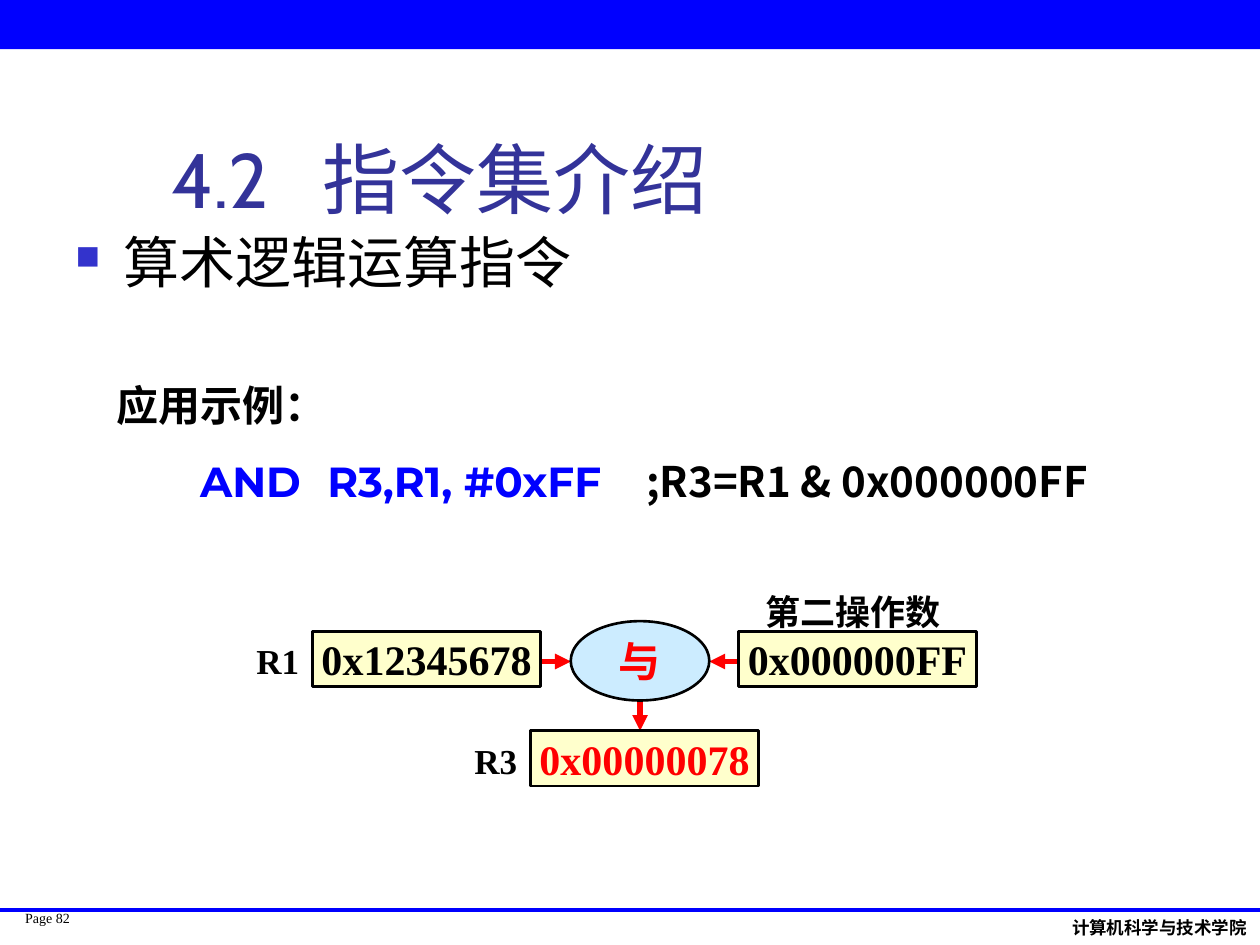
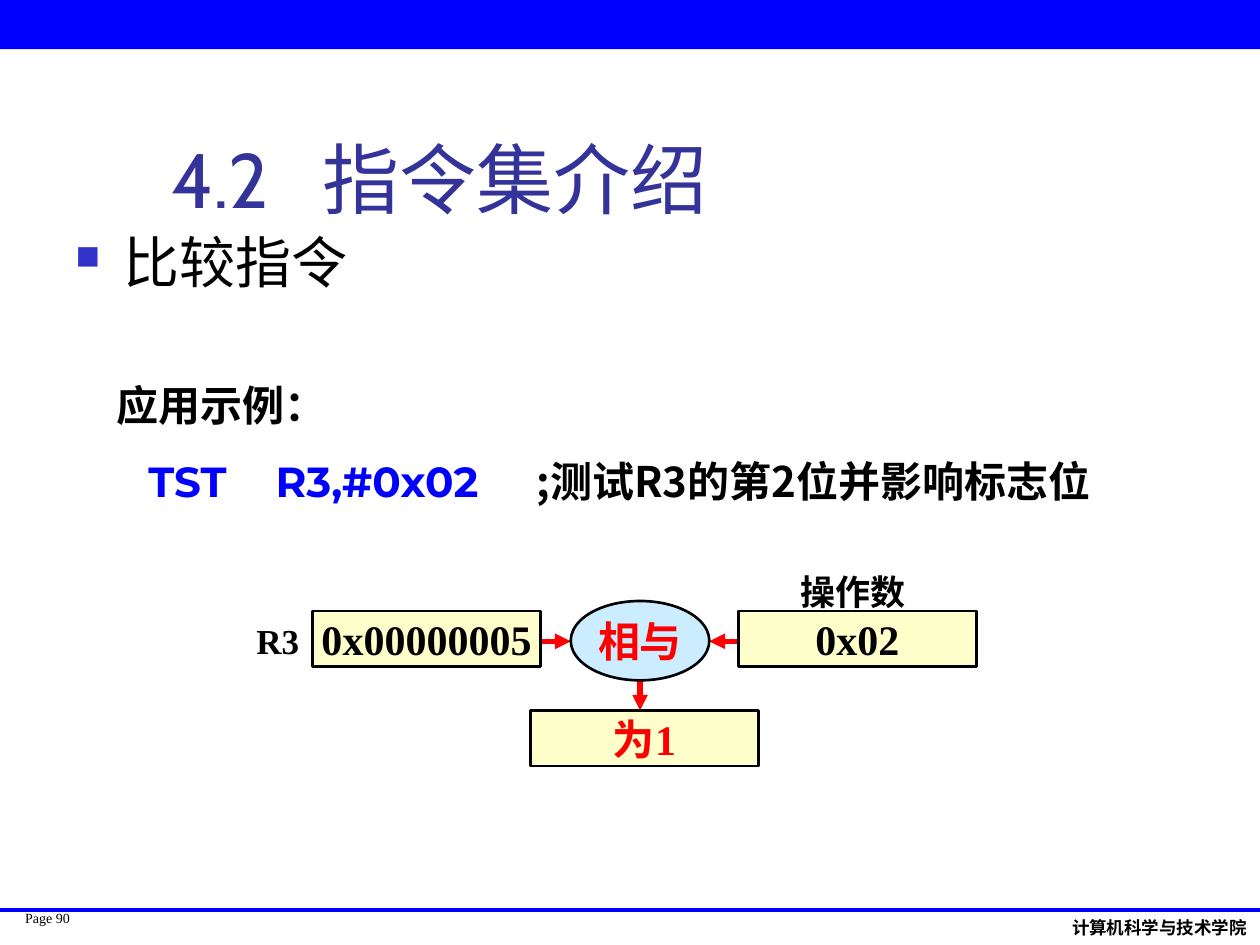
from lxml import etree
from pptx import Presentation
from pptx.dml.color import RGBColor
from pptx.enum.shapes import MSO_CONNECTOR, MSO_SHAPE
from pptx.enum.text import MSO_ANCHOR, PP_ALIGN
from pptx.oxml.ns import qn
from pptx.util import Pt

PX = 9144
WIDE, HIGH = 1000, 750
BLUE = RGBColor(0x00, 0x00, 0xFF)
NAVY = RGBColor(0x33, 0x33, 0x99)
MARK = RGBColor(0x33, 0x33, 0xCC)
BLACK = RGBColor(0x00, 0x00, 0x00)
RED = RGBColor(0xFF, 0x00, 0x00)
CREAM = RGBColor(0xFF, 0xFF, 0xCC)
SKY = RGBColor(0xCC, 0xEC, 0xFF)
HEAD, CODE, NOTE, SERIF = "Cabin", "Montserrat", "Noto Sans CJK JP", "Times New Roman"
RECT, OVAL = MSO_SHAPE.RECTANGLE, MSO_SHAPE.OVAL
LINE = MSO_CONNECTOR.STRAIGHT
LEFT, MID = PP_ALIGN.LEFT, PP_ALIGN.CENTER
TOP, CENTER, BASE = MSO_ANCHOR.TOP, MSO_ANCHOR.MIDDLE, MSO_ANCHOR.BOTTOM


def add(node, tag, **attrs):
    """Append a drawing element and return it."""
    return etree.SubElement(node, qn("a:" + tag), attrs)


class Deck:
    """Shared style and the slide being built."""

    def __init__(self):
        """Open an empty deck."""
        self.file = Presentation()
        self.file.slide_width = WIDE * PX
        self.file.slide_height = HIGH * PX
        self.slide = None

    def start(self, page, topic):
        """Begin a slide with its band, footer, title and topic."""
        self.slide = self.file.slides.add_slide(self.file.slide_layouts[6])
        self.label(f"Page {page}", (20, 722, 51, 27), 8, inset=0)
        self.label("计算机科学与技术学院", (841, 723, 159, 27), 10, HEAD, bold=True)
        self.shape(RECT, (0, 0, WIDE, 39), BLUE).line.fill.background()
        self.line((0, 722), (WIDE, 722), BLUE, 2.25)
        self.label("4.2\t指令集介绍", (126, 23, 852, 160), 44, HEAD, NAVY,
                   anchor=BASE, stops=[120])
        self.label(topic, (50, 176, 900, 83), 32, HEAD, bullet=True)

    def style(self, para, size, font=SERIF, color=BLACK, bold=False, align=LEFT):
        """Set the type of a paragraph."""
        para.alignment = align
        para.font.size, para.font.bold = Pt(size), bold
        para.font.name = font
        para.font.color.rgb = color

    def tabs(self, para, stops):
        """Give a paragraph its tab stops."""
        tabs = add(para._p.get_or_add_pPr(), "tabLst")
        for stop in stops:
            add(tabs, "tab", pos=str(stop * PX), algn="l")

    def bullet(self, para):
        """Give a paragraph a square bullet."""
        props = para._p.get_or_add_pPr()
        props.set("marL", str(38 * PX))
        props.set("indent", str(-38 * PX))
        add(add(props, "buClr"), "srgbClr", val=str(MARK))
        add(props, "buSzPct", val="60000")
        add(props, "buChar", char="■")

    def frame(self, area, anchor=TOP, wrap=True, inset=10):
        """Add a text box and return its frame."""
        frame = self.slide.shapes.add_textbox(*[n * PX for n in area]).text_frame
        frame.word_wrap, frame.vertical_anchor = wrap, anchor
        frame.margin_left = frame.margin_right = inset * PX
        frame.margin_top = frame.margin_bottom = inset // 2 * PX
        return frame

    def label(self, text, area, size, font=SERIF, color=BLACK, bold=False,
              align=LEFT, anchor=TOP, wrap=True, inset=10, stops=(), bullet=False):
        """Add one paragraph of text."""
        para = self.frame(area, anchor, wrap, inset).paragraphs[0]
        para.text = text
        if bullet:
            self.bullet(para)
        if stops:
            self.tabs(para, stops)
        self.style(para, size, font, color, bold, align)

    def tag(self, text, area):
        """Add a centred bold caption."""
        self.label(text, area, 20, bold=True, align=MID, anchor=CENTER, wrap=False)

    def shape(self, kind, area, fill):
        """Add a flat filled shape."""
        shape = self.slide.shapes.add_shape(kind, *[n * PX for n in area])
        shape.shadow.inherit = False
        shape.fill.solid()
        shape.fill.fore_color.rgb = fill
        return shape

    def node(self, text, area, color=BLACK, kind=RECT, fill=CREAM):
        """Add an outlined shape holding a value."""
        shape = self.shape(kind, area, fill)
        shape.line.color.rgb = BLACK
        shape.line.width = Pt(1.5)
        frame = shape.text_frame
        frame.word_wrap, frame.vertical_anchor = False, CENTER
        para = frame.paragraphs[0]
        para.text = text
        self.style(para, 24, color=color, bold=True, align=MID)

    def line(self, start, end, color, width):
        """Add a straight line."""
        line = self.slide.shapes.add_connector(LINE, *[n * PX for n in start + end])
        line.line.color.rgb = color
        line.line.width = Pt(width)
        add(line._element.spPr, "effectLst")
        return line

    def arrow(self, start, end):
        """Add a red arrow."""
        line = self.line(start, end, RED, 3)
        add(line.line._get_or_add_ln(), "tailEnd", type="triangle")

    def sample(self, code, note, stops):
        """Add the code example with its remark."""
        frame = self.frame((83, 296, 858, 111))
        intro, body = frame.paragraphs[0], frame.add_paragraph()
        intro.text = "应用示例："
        self.style(intro, 24, CODE, bold=True)
        body.space_before = Pt(15)
        self.tabs(body, stops)
        self.style(body, 24, CODE, bold=True)
        for text, font, color in ((f"\t{code}\t", CODE, BLUE), (note, NOTE, BLACK)):
            run = body.add_run()
            run.text = text
            run.font.name = font
            run.font.color.rgb = color

    def flow(self, top, source, value, verb, title, operand, result, target=None):
        """Draw two operands meeting in an operation and its result."""
        mid, low = top + 24, top + 79
        self.arrow((429, mid), (453, mid))
        self.arrow((587, mid), (563, mid))
        self.arrow((508, top + 55), (508, low))
        self.node(value, (248, top, 181, 44))
        self.node(operand, (586, top, 189, 44))
        self.node(verb, (453, top - 8, 110, 63), RED, OVAL, SKY)
        self.tag(source, (185, top, 71, 47))
        self.tag(title, (592, top - 39, 170, 47))
        if target:
            self.tag(target, (358, low, 71, 47))
        self.node(result, (421, low, 181, 44), RED)


def main():
    """Build both slides."""
    deck = Deck()
    deck.start(82, "算术逻辑运算指令")
    deck.sample("AND\tR3,R1, #0xFF", ";R3=R1 & 0x000000FF", [66, 167, 420])
    deck.flow(501, "R1", "0x12345678", "与", "第二操作数", "0x000000FF",
              "0x00000078", "R3")
    deck.start(90, "比较指令")
    deck.sample("TST\tR3,#0x02", ";测试R3的第2位并影响标志位", [25, 126, 333])
    deck.flow(485, "R3", "0x00000005", "相与", "操作数", "0x02", "为1")
    deck.file.save("out.pptx")


if __name__ == "__main__":
    main()
